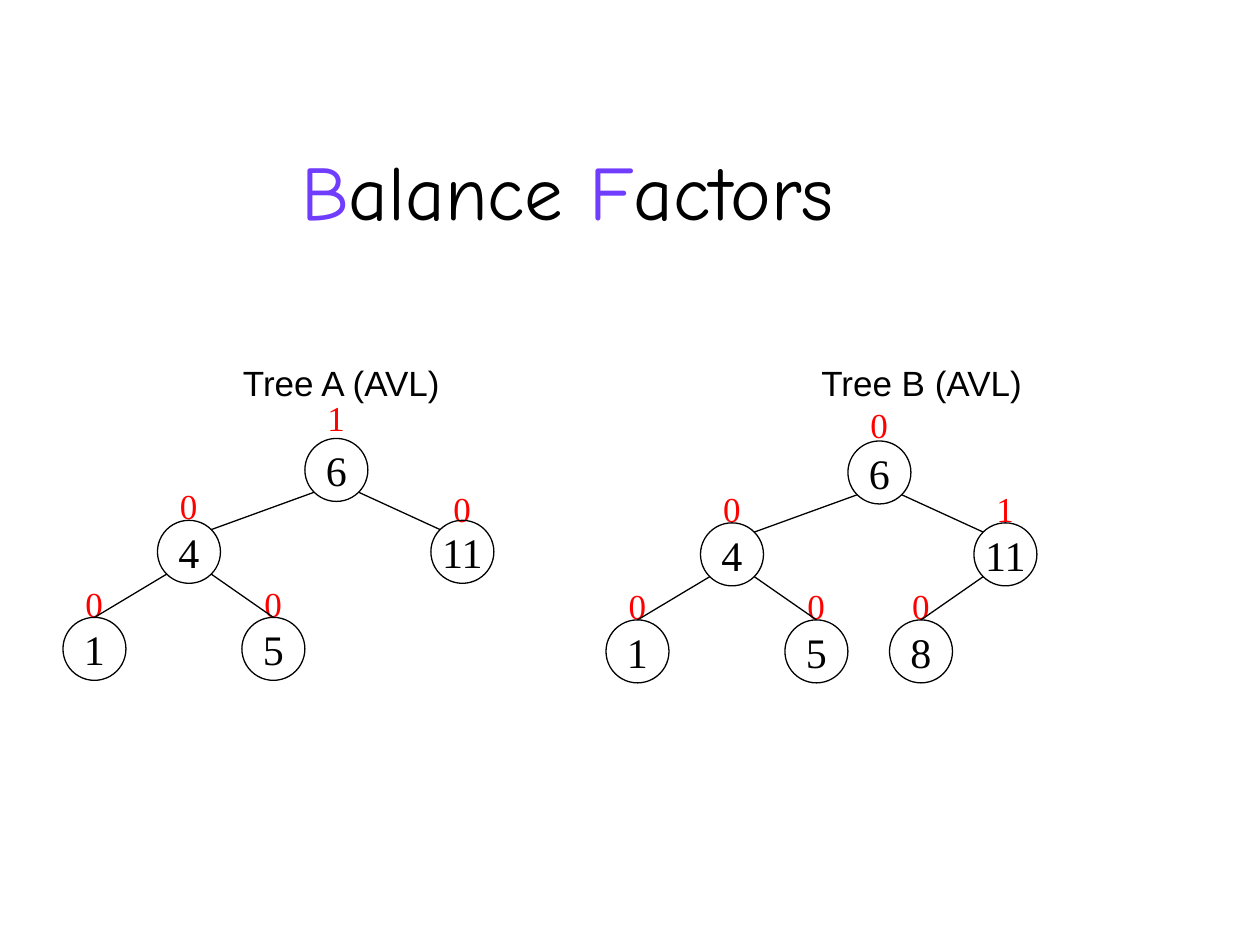
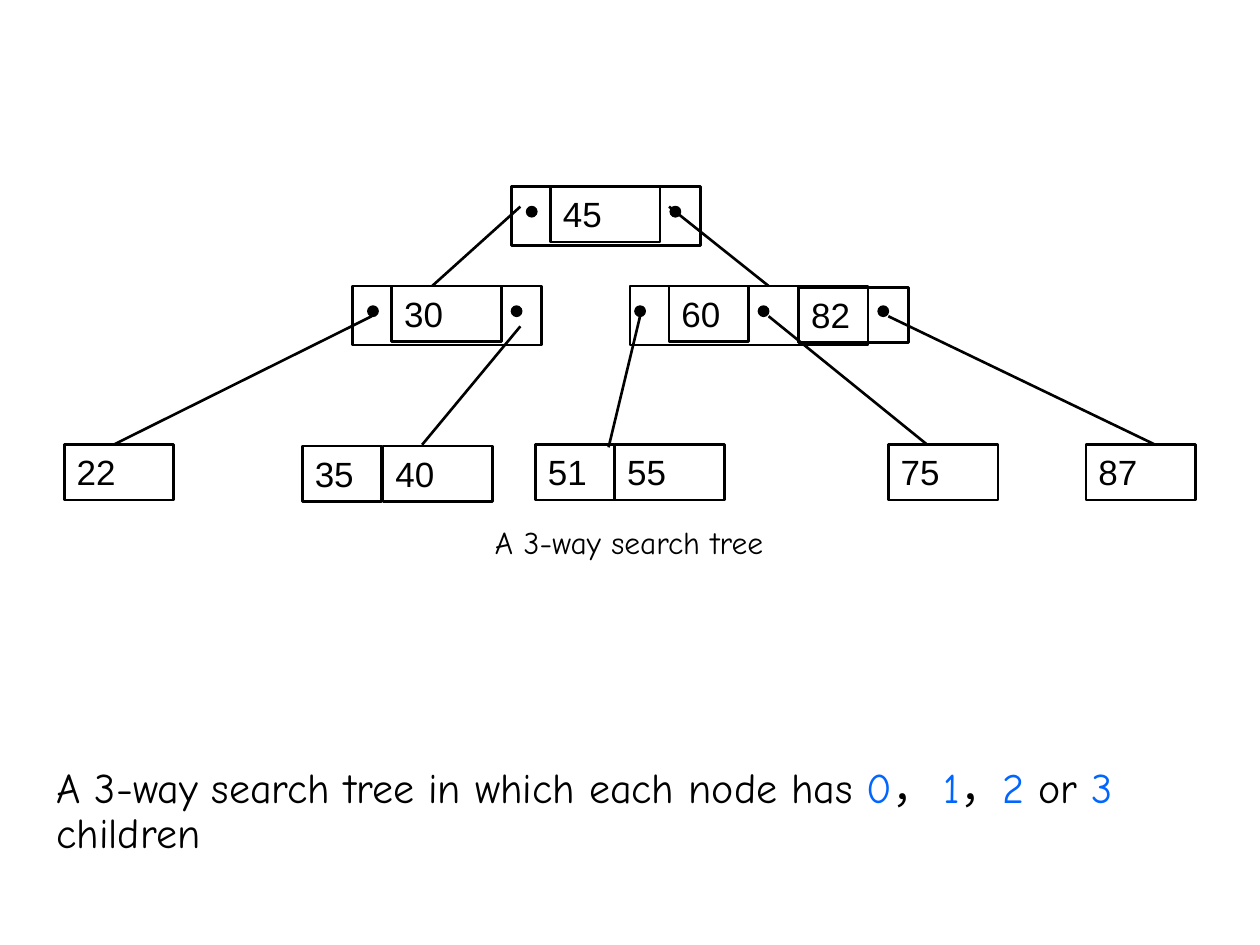
from dataclasses import dataclass
from math import sqrt

from lxml import etree
from pptx import Presentation
from pptx.dml.color import RGBColor
from pptx.enum.shapes import MSO_CONNECTOR as CXN, MSO_SHAPE as SHAPE
from pptx.enum.text import MSO_ANCHOR as ANCHOR, MSO_AUTO_SIZE as FIT, PP_ALIGN as ALIGN
from pptx.oxml.ns import qn
from pptx.util import Inches, Pt


@dataclass(frozen=True)
class Theme:
    black: str = "000000"
    violet: str = "703DFF"
    blue: str = "0066FF"
    red: str = "FF0000"
    display: str = "Comic Neue"
    serif: str = "Times New Roman"
    sans: str = "Arial"
    title: int = 44
    body: int = 24
    label: int = 20
    caption: int = 18
    thin: float = 0.75
    thick: float = 1.5


TITLE_ONLY, BLANK = 5, 6
NODE = 0.5  # diameter of a tree node
CELL_H, FRAME_H, DOT = 0.44, 0.47, 0.08
NARROW, WIDE = 0.63, 0.87


class Deck:
    def __init__(self, theme):
        self.theme = theme
        self.prs = Presentation()
        self.prs.slide_width, self.prs.slide_height = Inches(10), Inches(7.5)
        self.slide = None

    def new_slide(self, layout):
        self.slide = self.prs.slides.add_slide(self.prs.slide_layouts[layout])

    def add_runs(self, tf, runs, size, font, align=ALIGN.LEFT):
        """Fill the first paragraph with (text, colour) runs."""
        p = tf.paragraphs[0]
        p.alignment = align
        for text, color in runs:
            r = p.add_run()
            r.text = text
            r.font.size, r.font.name = Pt(size), font
            r.font.color.rgb = RGBColor.from_string(color)
        return p

    def title(self, runs, box):
        sp = self.slide.shapes.title
        sp.left, sp.top, sp.width, sp.height = map(Inches, box)
        tf = sp.text_frame
        tf.vertical_anchor, tf.auto_size = ANCHOR.BOTTOM, FIT.NONE
        self.add_runs(tf, runs, self.theme.title, self.theme.display, ALIGN.CENTER)

    def text(self, runs, box, size, font, wrap=False):
        tf = self.slide.shapes.add_textbox(*map(Inches, box)).text_frame
        tf.word_wrap, tf.auto_size = wrap, FIT.SHAPE_TO_FIT_TEXT
        return self.add_runs(tf, runs, size, font)

    def outline(self, kind, box, width):
        sp = self.slide.shapes.add_shape(kind, *map(Inches, box))
        sp.shadow.inherit = False
        sp.fill.background()
        sp.line.color.rgb = RGBColor.from_string(self.theme.black)
        sp.line.width = Pt(width)
        return sp

    def node(self, key, x, y):
        t = self.theme
        tf = self.outline(SHAPE.OVAL, (x, y, NODE, NODE), t.thin).text_frame
        tf.word_wrap, tf.vertical_anchor = False, ANCHOR.MIDDLE
        self.add_runs(tf, [(key, t.black)], t.body, t.serif, ALIGN.CENTER)

    def cell(self, key, x, y, width):
        t = self.theme
        tf = self.outline(SHAPE.RECTANGLE, (x, y, width, CELL_H), t.thick).text_frame
        tf.word_wrap, tf.vertical_anchor = True, ANCHOR.TOP
        tf.auto_size = FIT.SHAPE_TO_FIT_TEXT
        self.add_runs(tf, [(key, t.black)], t.label, t.sans)

    def dot(self, x, y):
        sp = self.outline(SHAPE.OVAL, (x, y, DOT, DOT), 1)
        sp.fill.solid()
        sp.fill.fore_color.rgb = RGBColor.from_string(self.theme.black)

    def line(self, start, end, width):
        c = self.slide.shapes.add_connector(CXN.STRAIGHT, *map(Inches, (*start, *end)))
        c.line.color.rgb = RGBColor.from_string(self.theme.black)
        c.line.width = Pt(width)
        etree.SubElement(c._element.spPr, qn("a:effectLst"))

    def avl_tree(self, root, name, label_x, factors):
        """Draw a tree; factors maps each key to its factor and the rise above the node."""
        t = self.theme
        at = {key: (root[0] + dx, root[1] + dy)
              for key, (dx, dy, _) in AVL_NODES.items() if key in factors}
        self.text([(name, t.black)], (label_x, 2.82, 1.83, 0.44), t.label, t.sans, wrap=True)
        radius = NODE / 2
        diagonal = radius / sqrt(2)
        for key, (x, y) in at.items():
            factor, rise = factors[key]
            self.text([(factor, t.red)], (x + 0.08, y - rise, 0.34, 0.44), t.label, t.serif)
            self.node(key, x, y)
            parent = AVL_NODES[key][2]
            if not parent:
                continue
            px, py = at[parent]
            side = diagonal if x > px else -diagonal
            start = px + radius + side, py + radius + diagonal
            if parent == "6":
                end = x + radius - side, y + radius - diagonal
            else:
                end = x + radius, y
            self.line(start, end, t.thin)


# key: offset from the root, parent
AVL_NODES = {
    "6": (0, 0, None),
    "4": (-1.17, 0.65, "6"),
    "11": (1, 0.65, "6"),
    "1": (-1.92, 1.42, "4"),
    "5": (-0.5, 1.42, "4"),
    "8": (0.33, 1.42, "11"),
}

# left, top, width, pointer offsets
FRAMES = [
    (4.06, 1.48, 1.5, (0.12, 1.26)),
    (2.8, 2.27, 1.5, (0.12, 1.26)),
    (5, 2.27, 1.89, (0.04, 1.02, 1.97)),
]
LEAF_Y = 3.53
CELLS = [
    ("45", 4.37, 1.48, WIDE), ("30", 3.11, 2.27, WIDE),
    ("60", 5.31, 2.27, NARROW), ("82", 6.34, 2.28, WIDE),
    ("22", 0.51, LEAF_Y, WIDE),
    ("35", 2.4, 3.54, NARROW), ("40", 3.04, 3.54, WIDE),
    ("51", 4.25, LEAF_Y, NARROW), ("55", 4.88, LEAF_Y, WIDE),
    ("75", 7.05, LEAF_Y, WIDE), ("87", 8.62, LEAF_Y, WIDE),
]
BRANCHES = [
    ((4.13, 1.64), (3.43, 2.27)), ((5.31, 1.64), (6.1, 2.27)),
    ((2.95, 2.51), (0.9, LEAF_Y)), ((4.13, 2.59), (3.35, LEAF_Y)),
    ((5.08, 2.51), (4.83, 3.55)), ((6.1, 2.51), (7.36, LEAF_Y)),
    ((7.05, 2.51), (9.17, LEAF_Y)),
]


def balance_factors(deck):
    t = deck.theme
    deck.new_slide(TITLE_ONLY)
    deck.title([("B", t.violet), ("alance ", t.black), ("F", t.violet), ("actors", t.black)],
               (0.75, 0.17, 7.51, 1.75))
    leaf = ("0", 0.33)
    deck.avl_tree((2.42, 3.48), "Tree A (AVL)", 1.83,
                  {"6": ("1", 0.38), "4": leaf, "11": ("0", 0.31), "1": leaf, "5": leaf})
    deck.avl_tree((6.73, 3.5), "Tree B (AVL)", 6.42,
                  {"6": ("0", 0.35), "4": leaf, "11": ("1", 0.33),
                   "1": leaf, "5": leaf, "8": leaf})


def three_way_tree(deck):
    t = deck.theme
    deck.new_slide(BLANK)
    p = deck.text([("A 3-way search tree in which each node has ", t.black),
                   ("0", t.blue), ("， ", t.black), ("1", t.blue), ("，", t.black),
                   ("2", t.blue), (" or ", t.black), ("3", t.blue), (" children", t.black)],
                  (0.35, 6.04, 9.15, 0.82), t.body, t.display, wrap=True)
    p.line_spacing = 0.9
    for x, y, width, pointers in FRAMES:
        deck.outline(SHAPE.RECTANGLE, (x, y, width, FRAME_H), t.thick)
        for dx in pointers:
            deck.dot(x + dx, y + 0.16)
    for cell in CELLS:
        deck.cell(*cell)
    for start, end in BRANCHES:
        deck.line(start, end, t.thick)
    deck.text([("A 3-way search tree", t.black)], (3.83, 4.1, 2.34, 0.4), t.caption, t.display)


def main():
    deck = Deck(Theme())
    balance_factors(deck)
    three_way_tree(deck)
    deck.prs.save("out.pptx")


if __name__ == "__main__":
    main()
